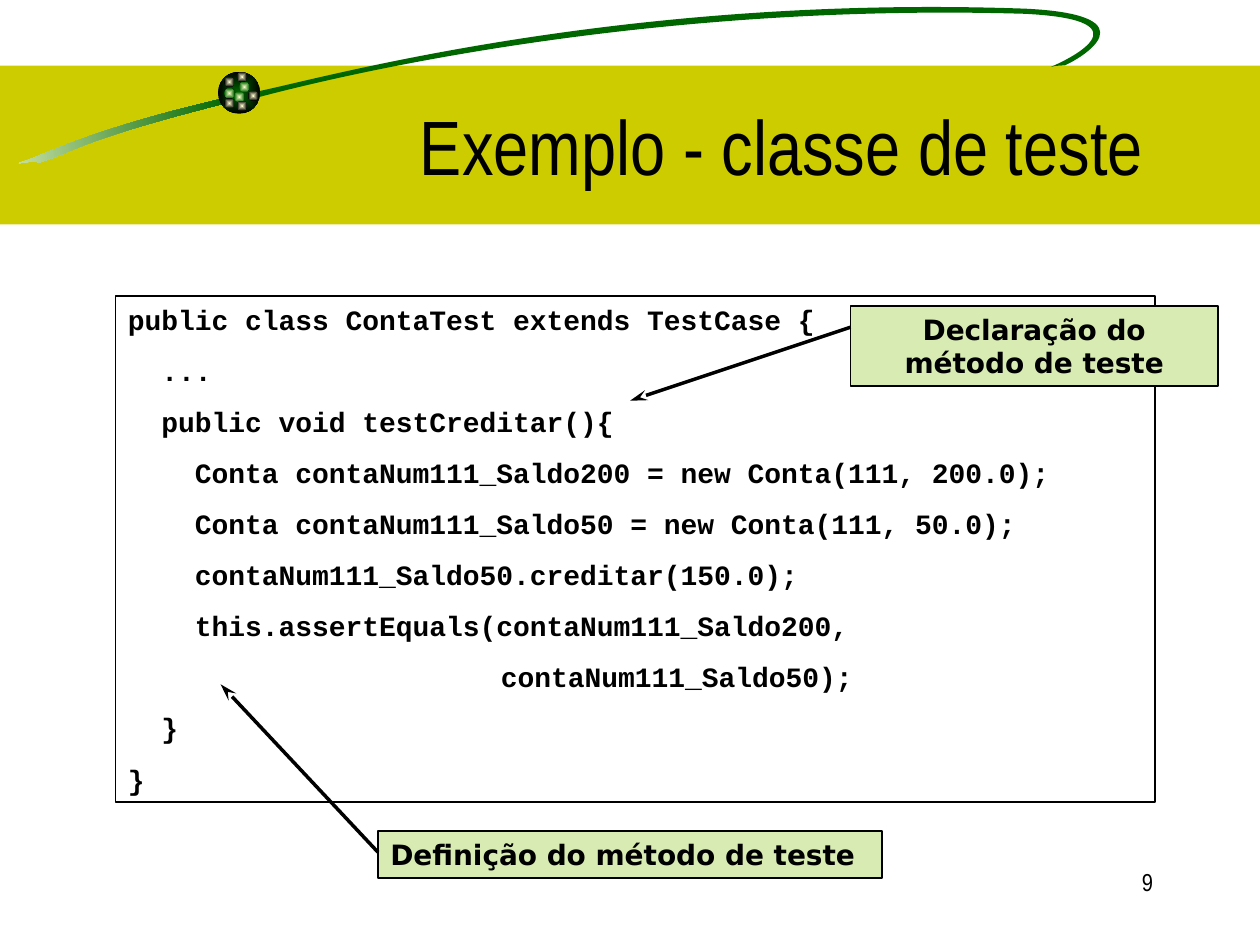
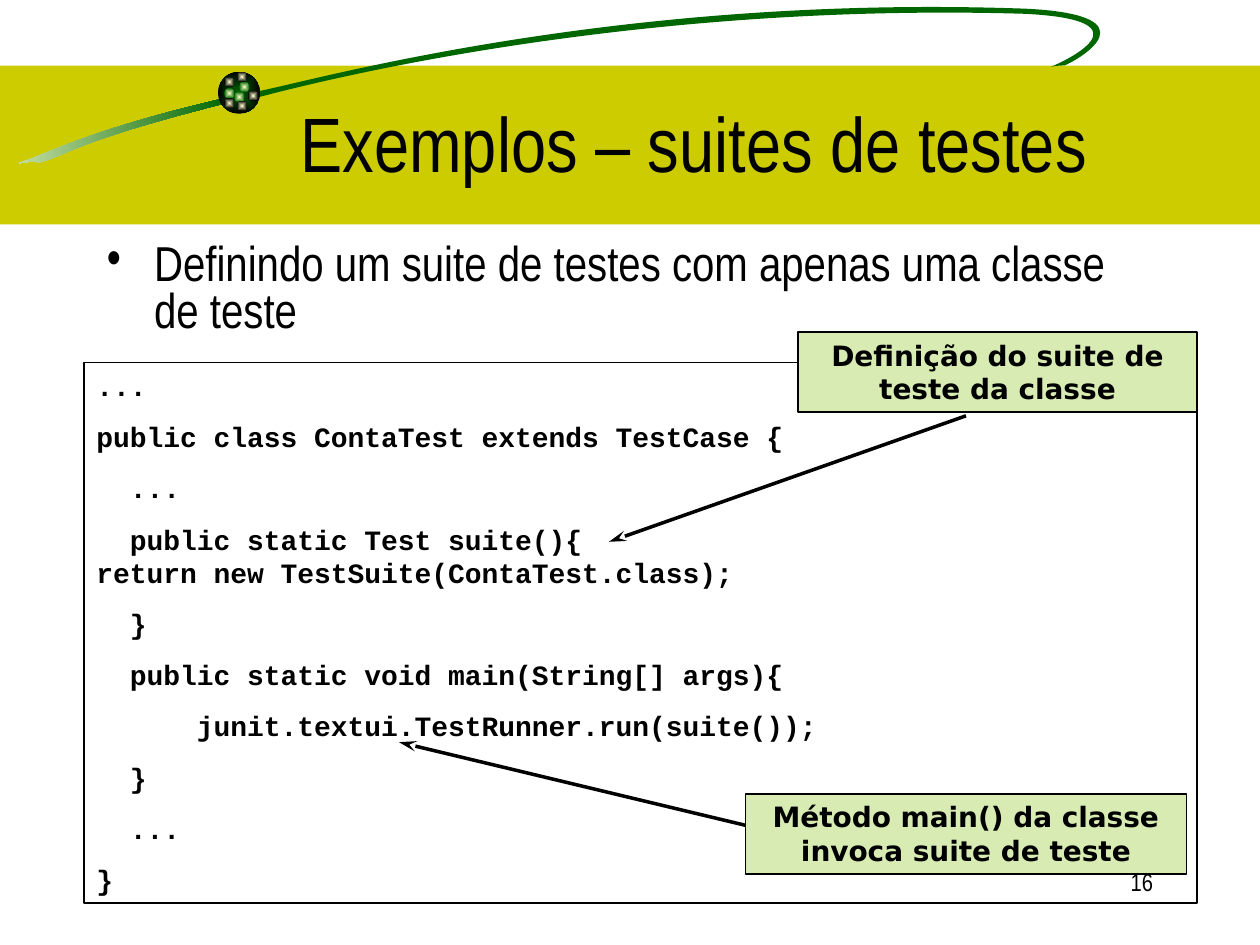
from math import cos, radians, sin

from lxml import etree
from pptx import Presentation
from pptx.dml.color import RGBColor
from pptx.enum.shapes import MSO_CONNECTOR, MSO_SHAPE
from pptx.enum.text import MSO_ANCHOR, PP_ALIGN
from pptx.oxml.ns import qn
from pptx.util import Pt

RECTANGLE, OVAL = MSO_SHAPE.RECTANGLE, MSO_SHAPE.OVAL
STRAIGHT = MSO_CONNECTOR.STRAIGHT
LEFT, CENTER, RIGHT = PP_ALIGN.LEFT, PP_ALIGN.CENTER, PP_ALIGN.RIGHT
TOP, MIDDLE = MSO_ANCHOR.TOP, MSO_ANCHOR.MIDDLE

BLACK = RGBColor(0x00, 0x00, 0x00)
WHITE = RGBColor(0xFF, 0xFF, 0xFF)
OLIVE = RGBColor(0xCC, 0xCC, 0x00)
GREEN = RGBColor(0x00, 0x66, 0x00)
PALE_GREEN = RGBColor(0xD8, 0xEB, 0xB3)
CREAM = RGBColor(0xFF, 0xFF, 0xCC)

HEADING_FONT = "Arial Narrow"
CODE_FONT = "Courier New"
CALLOUT_FONT = "DejaVu Sans"

BAND = (0, 37.6, 720, 90.7)
VEIL = (53.3, 148.3, 87.8, 391.7)
PAGE_NUMBER_BOX = (516, 492, 150, 36)
ORB = (124.6, 41, 24)
DOT_SIZE = 5.8
DOTS = [
    (12.2, 5.8, GREEN), (3.6, 2.9, BLACK), (3.6, 9.4, GREEN),
    (9.3, 11.5, GREEN), (17.2, 10.8, BLACK), (10.8, 16.6, BLACK),
    (3.6, 15.1, BLACK), (10.8, 0, BLACK),
]
CURVE_TILT = -8.5
TAIL_BOX = (-2.2, 65.5, 132.5, 21.6)
TAIL = [
    (128.2, 56.2),
    (65.5, 70.6), (35.3, 83.5), (18, 90.7),
    (0.7, 96.5), (18.7, 90.7), (22.3, 92.9),
    (41, 87.8), (41, 81.4), (128.9, 59),
    (128.9, 59), (128.2, 56.2), (128.2, 56.2),
]
SWOOSH_BOX = (144.7, -10.8, 515.5, 78.5)
SWOOSH = [
    (145.4, 52.6),
    (177.1, 46.8), (349.9, -3.6), (586.1, 5),
    (660.2, 8.6), (617, 33.8), (608.4, 37.4),
    (608.4, 37.4), (603.4, 37.4), (600.5, 38.2),
    (607.7, 35.3), (659.5, 11.5), (585.4, 7.9),
    (394.6, 2.2), (230.4, 33.8), (148.3, 55.4),
    (148.3, 55.4), (145.4, 52.6), (145.4, 52.6),
]

TEST_CLASS_CODE = [
    "public class ContaTest extends TestCase {",
    "  ...",
    "  public void testCreditar(){",
    "    Conta contaNum111_Saldo200 = new Conta(111, 200.0);",
    "    Conta contaNum111_Saldo50 = new Conta(111, 50.0);",
    "    contaNum111_Saldo50.creditar(150.0);",
    "    this.assertEquals(contaNum111_Saldo200,",
    "\t                contaNum111_Saldo50);",
    "  }",
    "}",
]
SUITE_CODE = [
    "...",
    "public class ContaTest extends TestCase {",
    "  ...",
    "  public static Test suite(){\vreturn new TestSuite(ContaTest.class);",
    "  }",
    "  public static void main(String[] args){",
    "      junit.textui.TestRunner.run(suite());",
    "  }",
    "  ...",
    "}",
]


def points(*lengths):
    return [Pt(length) for length in lengths]


def style_panel(panel, fill=None, line=None):
    panel.shadow.inherit = False
    if fill is None:
        panel.fill.background()
    else:
        panel.fill.solid()
        panel.fill.fore_color.rgb = fill
    if line is None:
        panel.line.fill.background()
    else:
        panel.line.color.rgb = line
        panel.line.width = Pt(1)


def add_panel(page, box, kind=RECTANGLE, fill=None, line=None):
    panel = page.shapes.add_shape(kind, *points(*box))
    style_panel(panel, fill, line)
    return panel


def write_text(shape, lines, font=HEADING_FONT, size=16, bold=False, align=LEFT,
               anchor=TOP, gap=0, spacing=None):
    frame = shape.text_frame
    frame.word_wrap = True
    frame.vertical_anchor = anchor
    for index, line in enumerate(lines):
        para = frame.add_paragraph() if index else frame.paragraphs[0]
        para.text = line
        para.alignment = align
        if index:
            para.space_before = Pt(gap)
        if spacing:
            para.line_spacing = spacing
        for span in para.runs:
            span.font.name = font
            span.font.size = Pt(size)
            span.font.bold = bold
            span.font.color.rgb = BLACK
    return frame


def add_text(page, box, text, **text_format):
    label = page.shapes.add_textbox(*points(*box))
    return write_text(label, [text], **text_format)


def set_gradient(shape, first, last, from_center=False):
    shape.fill.gradient()
    for stop, color in zip(shape.fill.gradient_stops, (first, last)):
        stop.color.rgb = color
    shape.fill.gradient_angle = 0
    if from_center:
        gradient = shape._element.spPr.find(qn("a:gradFill"))
        gradient.remove(gradient.find(qn("a:lin")))
        shade = etree.SubElement(gradient, qn("a:path"), path="rect")
        etree.SubElement(shade, qn("a:fillToRect"),
                         dict.fromkeys("ltrb", "50000"))


def level_point(point, box):
    left, top, width, height = box
    across, down = point[0] - left - width / 2, point[1] - top - height / 2
    angle = radians(-CURVE_TILT)
    return points(across * cos(angle) - down * sin(angle) + width / 2,
                  across * sin(angle) + down * cos(angle) + height / 2)


def add_curve(page, box, nodes, fill):
    corners = [level_point(node, box) for node in nodes]
    builder = page.shapes.build_freeform(*corners[0], scale=1.0)
    builder.add_line_segments(corners[1:], close=True)
    curve = builder.convert_to_shape()
    curve.left, curve.top, curve.width, curve.height = points(*box)
    curve.rotation = CURVE_TILT
    style_panel(curve, fill)
    outline = next(curve._element.iter(qn("a:path")))
    outline.set("w", str(curve.width))
    outline.set("h", str(curve.height))
    for step in list(outline):
        outline.remove(step)
    for first in [0, *range(1, len(corners), 3)]:
        kind, count = ("a:cubicBezTo", 3) if first else ("a:moveTo", 1)
        step = etree.SubElement(outline, qn(kind))
        for x, y in corners[first:first + count]:
            etree.SubElement(step, qn("a:pt"), x=str(x), y=str(y))
    etree.SubElement(outline, qn("a:close"))
    return curve


def add_orb(page, left, top, size):
    orb = add_panel(page, (left, top, size, size), OVAL)
    set_gradient(orb, GREEN, BLACK, from_center=True)
    for across, down, edge in DOTS:
        dot = add_panel(page, (left + across, top + down, DOT_SIZE, DOT_SIZE), OVAL)
        set_gradient(dot, CREAM, edge, from_center=True)


def add_veil(page, box):
    veil = add_panel(page, box, fill=WHITE)
    color = next(veil._element.spPr.iter(qn("a:srgbClr")))
    etree.SubElement(color, qn("a:alpha"), val="50000")


def add_page(deck, title, title_box):
    page = deck.slides.add_slide(deck.slide_layouts[6])
    add_panel(page, BAND, fill=OLIVE)
    set_gradient(add_curve(page, TAIL_BOX, TAIL, GREEN), PALE_GREEN, GREEN)
    add_curve(page, SWOOSH_BOX, SWOOSH, GREEN)
    add_orb(page, *ORB)
    add_veil(page, VEIL)
    add_text(page, title_box, title, size=44, align=CENTER, anchor=MIDDLE)
    return page


def add_page_number(page, number):
    add_text(page, PAGE_NUMBER_BOX, number, size=14, align=RIGHT)


def add_bullet(page, box, text):
    para = add_text(page, box, text, size=28, spacing=0.8).paragraphs[0]
    properties = para._p.get_or_add_pPr()
    properties.set("marL", str(Pt(27)))
    properties.set("indent", str(Pt(-27)))
    etree.SubElement(properties, qn("a:buFont"), typeface=HEADING_FONT)
    etree.SubElement(properties, qn("a:buChar"), char="•")


def add_code(page, box, lines):
    panel = add_panel(page, box, line=BLACK)
    frame = write_text(panel, lines, font=CODE_FONT, bold=True, gap=10,
                       spacing=Pt(19.2))
    for para in frame.paragraphs:
        tabs = etree.SubElement(para._p.get_or_add_pPr(), qn("a:tabLst"))
        etree.SubElement(tabs, qn("a:tab"), pos=str(Pt(60)), algn="l")


def add_callout(page, box, text, start, end, align=CENTER):
    panel = add_panel(page, box, fill=PALE_GREEN, line=BLACK)
    write_text(panel, [text], font=CALLOUT_FONT, bold=True, align=align)
    left, top = box[:2]
    arrow = page.shapes.add_connector(
        STRAIGHT, *points(left + start[0], top + start[1], left + end[0], top + end[1]))
    arrow.line.color.rgb = BLACK
    arrow.line.width = Pt(2)
    etree.SubElement(arrow.line._get_or_add_ln(), qn("a:tailEnd"),
                     type="stealth", w="med", len="lg")
    etree.SubElement(arrow._element.spPr, qn("a:effectLst"))


def build_test_class_page(deck):
    page = add_page(deck, "Exemplo - classe de teste", (173.5, 37.4, 546.5, 90))
    add_code(page, (66, 169.2, 594, 289.2), TEST_CLASS_CODE)
    add_callout(page, (486, 175, 210, 45.7), "Declaração do método de teste",
                (0, 12), (-126, 54))
    add_callout(page, (216, 475, 288, 26.8), "Definição do método de teste",
                (0, 12), (-90, -84), align=LEFT)
    add_page_number(page, "9")


def build_suite_page(deck):
    page = add_page(deck, "Exemplos – suites de testes", (90.7, 36, 612, 90))
    add_bullet(page, (54, 136, 612, 66),
               "Definindo um suite de testes com apenas uma classe de teste")
    add_code(page, (48, 207.2, 636, 308.6), SUITE_CODE)
    add_callout(page, (456, 189.8, 228, 45.8), "Definição do suite de teste da classe",
                (96, 47.8), (-108, 119.8))
    add_callout(page, (426, 453.6, 252, 46),
                "Método main() da classe invoca suite de teste",
                (0, 18), (-198, -29.5))
    add_page_number(page, "16")


def main():
    deck = Presentation()
    deck.slide_width, deck.slide_height = points(720, 540)
    build_test_class_page(deck)
    build_suite_page(deck)
    deck.save("out.pptx")


if __name__ == "__main__":
    main()
